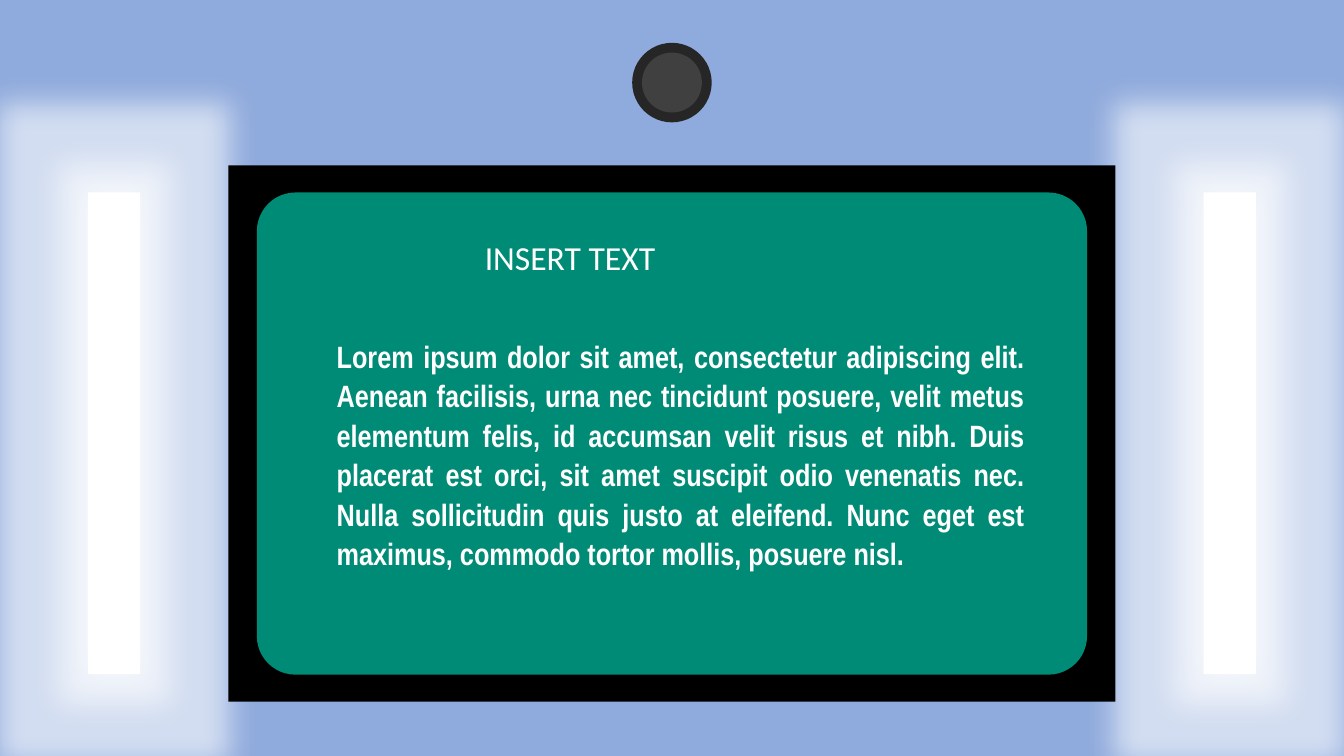
from lxml import etree
from pptx import Presentation
from pptx.dml.color import RGBColor
from pptx.enum.shapes import MSO_SHAPE as Preset
from pptx.enum.text import MSO_AUTO_SIZE as AutoSize, PP_ALIGN as Align
from pptx.oxml.ns import qn
from pptx.util import Pt

COLORS = {
    "wall": "8FAADC",
    "frame": "000000",
    "board": "008B76",
    "light": "FFFFFF",
    "lens_rim": "262626",
    "lens": "404040",
    "text": "FFFFFF",
}
PAGE_WIDTH, PAGE_HEIGHT = 960, 540
BODY = (
    "Lorem ipsum dolor sit amet, consectetur adipiscing elit. Aenean facilisis, "
    "urna nec tincidunt posuere, velit metus elementum felis, id accumsan velit "
    "risus et nibh. Duis placerat est orci, sit amet suscipit odio venenatis nec. "
    "Nulla sollicitudin quis justo at eleifend. Nunc eget est maximus, commodo "
    "tortor mollis, posuere nisl."
)


def add_block(page, preset, box, color):
    shape = page.shapes.add_shape(preset, *map(Pt, box))
    shape.shadow.inherit = False
    shape.fill.solid()
    shape.fill.fore_color.rgb = RGBColor.from_string(COLORS[color])
    shape.line.fill.background()
    return shape


def add_text(page, box, text, wrap, font_format, para_format):
    text_box = page.shapes.add_textbox(*map(Pt, box))
    frame = text_box.text_frame
    frame.word_wrap = wrap
    frame.auto_size = AutoSize.SHAPE_TO_FIT_TEXT
    para = frame.paragraphs[0]
    for name, value in para_format.items():
        setattr(para, name, value)
    span = para.add_run()
    span.text = text
    for name, value in font_format.items():
        setattr(span.font, name, value)
    span.font.color.rgb = RGBColor.from_string(COLORS["text"])


def add_effect(shape, tag, alpha, **attributes):
    effects = shape.element.spPr.find(qn("a:effectLst"))
    effect = etree.SubElement(effects, qn(tag), attributes)
    color = etree.SubElement(effect, qn("a:srgbClr"), val=COLORS["light"])
    etree.SubElement(color, qn("a:alpha"), val=str(alpha * 1000))


def draw_light(page, box):
    light = add_block(page, Preset.RECTANGLE, box, "light")
    add_effect(light, "a:glow", 60, rad=str(Pt(43)))
    add_effect(light, "a:outerShdw", 60, blurRad=str(Pt(20)), dist="0")


def draw_camera(page, box):
    left, top, width, height = box
    rim = 7
    add_block(page, Preset.FLOWCHART_CONNECTOR, box, "lens_rim")
    lens_box = (left + rim, top + rim, width - 2 * rim, height - 2 * rim)
    add_block(page, Preset.FLOWCHART_CONNECTOR, lens_box, "lens")


def draw_board(page, box):
    left, top, width, height = box
    side, edge = 20.3, 19.3
    add_block(page, Preset.RECTANGLE, box, "frame")
    board_box = (left + side, top + edge, width - 2 * side, height - 2 * edge)
    board = add_block(page, Preset.ROUNDED_RECTANGLE, board_box, "board")
    board.adjustments[0] = 0.08
    add_text(
        page, (left + 176, top + 47.5, 281, 36), "INSERT TEXT", False,
        {"name": "Calibri", "size": Pt(24)}, {"alignment": Align.LEFT},
    )
    add_text(
        page, (left + 70.2, top + 117.5, 505.4, 176), BODY, True,
        {"name": "Arial Narrow", "size": Pt(22), "bold": True},
        {"alignment": Align.JUSTIFY, "line_spacing": 1.07, "space_after": Pt(8)},
    )


def main():
    deck = Presentation()
    deck.slide_width, deck.slide_height = Pt(PAGE_WIDTH), Pt(PAGE_HEIGHT)
    page = deck.slides.add_slide(deck.slide_layouts[6])
    add_block(page, Preset.RECTANGLE, (0, 0, PAGE_WIDTH, PAGE_HEIGHT), "wall")
    for left in (62.7, 859.7):
        draw_light(page, (left, 137.5, 37.4, 344))
    draw_camera(page, (451.6, 30.6, 56.8, 56.8))
    draw_board(page, (163.2, 118.2, 633.6, 383))
    deck.save("out.pptx")


if __name__ == "__main__":
    main()
